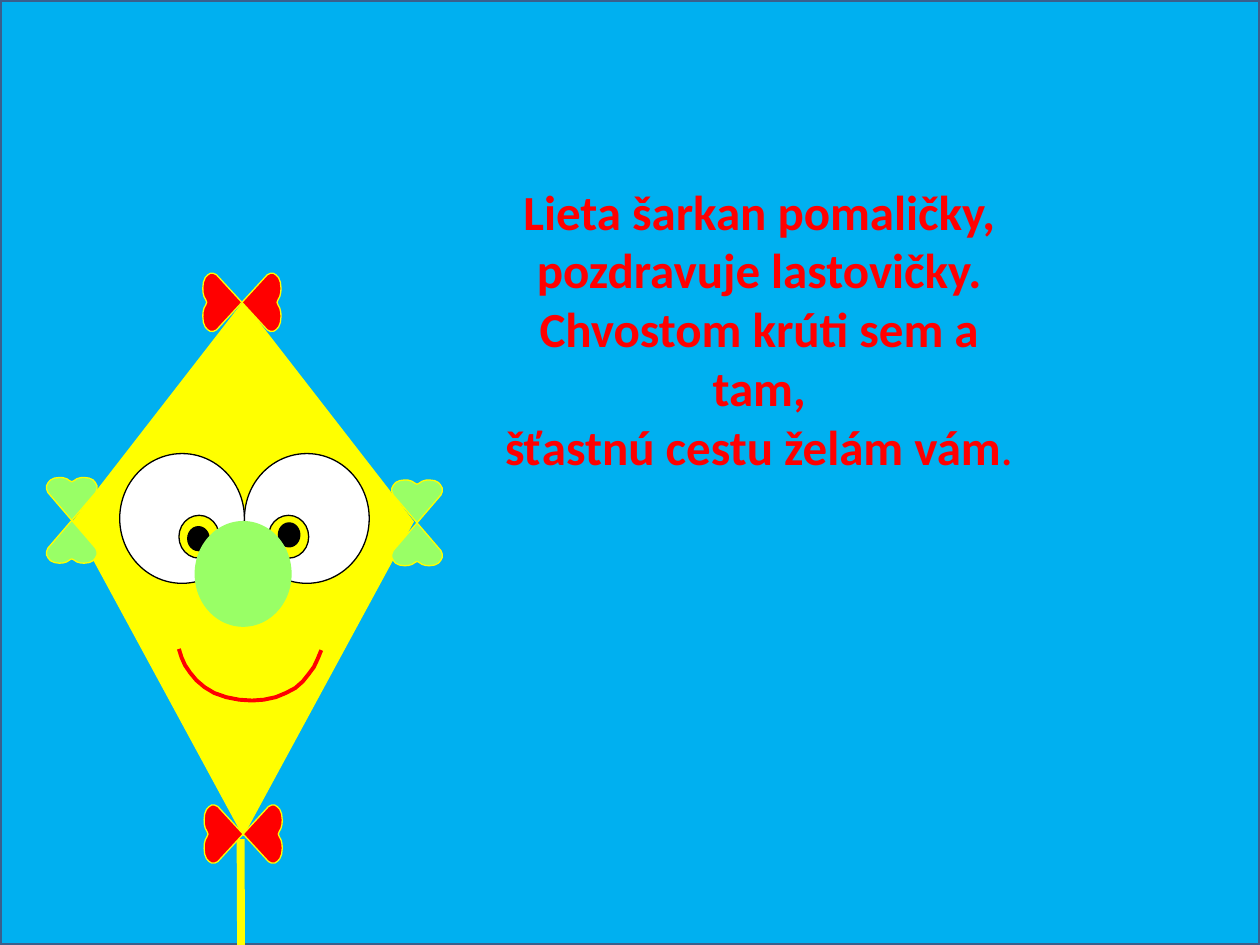
from pptx import Presentation
from pptx.dml.color import RGBColor
from pptx.enum.shapes import MSO_SHAPE
from pptx.enum.text import MSO_ANCHOR, PP_ALIGN
from pptx.util import Inches, Pt

RECTANGLE = MSO_SHAPE.RECTANGLE
ROUNDED = MSO_SHAPE.ROUNDED_RECTANGLE
TRIANGLE = MSO_SHAPE.ISOSCELES_TRIANGLE
OVAL = MSO_SHAPE.OVAL
SKY = RGBColor(0x00, 0xB0, 0xF0)
SKY_EDGE = RGBColor(0x3A, 0x5F, 0x8C)
RED = RGBColor(0xFF, 0x00, 0x00)
YELLOW = RGBColor(0xFF, 0xFF, 0x00)
GREEN = RGBColor(0x99, 0xFF, 0x66)
WHITE = RGBColor(0xFF, 0xFF, 0xFF)
BLACK = RGBColor(0x00, 0x00, 0x00)

presentation = Presentation()
presentation.slide_width = Inches(10)
presentation.slide_height = Inches(7.5)
slide = presentation.slides.add_slide(presentation.slide_layouts[6])


def trace_curve(start, segments, steps):
    """Return points along a chain of cubic Bézier segments."""
    points = [start]
    for first, second, end in segments:
        begin = points[-1]
        for step in range(1, steps + 1):
            t = step / steps
            weights = ((1 - t) ** 3, 3 * t * (1 - t) ** 2, 3 * t * t * (1 - t), t ** 3)
            corners = (begin, first, second, end)
            points.append(tuple(sum(w * c[axis] for w, c in zip(weights, corners))
                                for axis in (0, 1)))
    return points


def add_part(geometry, fill, line, width, box=None, points=None, closed=False):
    """Add a preset shape in a box, or an outline through points, in inches."""
    if points:
        places = [(Inches(x), Inches(y)) for x, y in points]
        builder = slide.shapes.build_freeform(*places[0], scale=1.0)
        builder.add_line_segments(places[1:], close=closed)
        shape = builder.convert_to_shape()
    else:
        shape = slide.shapes.add_shape(geometry, *(Inches(value) for value in box))
    shape.shadow.inherit = False
    if fill is None:
        shape.fill.background()
    else:
        shape.fill.solid()
        shape.fill.fore_color.rgb = fill
    if line is None:
        shape.line.fill.background()
    else:
        shape.line.color.rgb = line
        shape.line.width = Pt(width)
    return shape


# Sky
add_part(RECTANGLE, SKY, SKY_EDGE, 2, (0, 0, 10, 7.5))

# Poem
poem = add_part(ROUNDED, SKY, None, 0, (3.74, 1.07, 4.57, 3.07))
frame = poem.text_frame
frame.word_wrap = True
frame.vertical_anchor = MSO_ANCHOR.MIDDLE
paragraph = frame.paragraphs[0]
paragraph.alignment = PP_ALIGN.CENTER
paragraph.text = "\v".join([
    "Lieta šarkan pomaličky,",
    "pozdravuje lastovičky.",
    "Chvostom krúti sem a tam,",
    "šťastnú cestu želám vám",
])
paragraph.add_run().text = "."
for run in paragraph.runs:
    run.font.name = "Calibri"
    run.font.size = Pt(28)
    run.font.bold = run.text != "."
    run.font.color.rgb = RED

# Kite tail
tail = trace_curve((1.91, 6.66), [
    ((1.92, 7.59), (1.94, 8.52), (1.71, 9.11)),
    ((1.49, 9.69), (0.93, 10.16), (0.56, 10.16)),
    ((0.19, 10.16), (-0.17, 8.89), (-0.49, 9.11)),
    ((-0.82, 9.32), (-1.25, 11.05), (-1.39, 11.44)),
    ((-1.54, 11.83), (-1.44, 11.64), (-1.34, 11.44)),
], steps=3)
add_part(None, None, YELLOW, 4.5, points=tail)

# Kite body
add_part(TRIANGLE, YELLOW, YELLOW, 0.75, (0.58, 2.4, 2.7, 1.74))
lower_body = add_part(TRIANGLE, YELLOW, YELLOW, 0.75, (0.58, 4.14, 2.7, 2.49))
lower_body.rotation = 180

# Eyes and nose
for box, fill, line in [
    ((0.95, 3.6, 0.99, 1.03), WHITE, BLACK),
    ((1.94, 3.6, 0.99, 1.03), WHITE, BLACK),
    ((1.42, 4.09, 0.32, 0.34), YELLOW, BLACK),
    ((2.13, 4.09, 0.32, 0.34), YELLOW, BLACK),
    ((1.49, 4.18, 0.17, 0.19), BLACK, BLACK),
    ((2.21, 4.15, 0.17, 0.19), BLACK, BLACK),
    ((1.55, 4.14, 0.76, 0.83), GREEN, GREEN),
]:
    add_part(OVAL, fill, line, 0.75, box)

# Bows: unit heart as (across, along) from its tip, one half mirrored
half_heart = trace_curve((0, 0.9), [
    ((-0.05, 0.9), (-0.13, 0.95), (-0.2, 0.97)),
    ((-0.3, 1), (-0.4, 1), (-0.5, 1)),
    ((-0.65, 1), (-0.75, 0.98), (-0.85, 0.94)),
    ((-0.92, 0.9), (-0.97, 0.86), (-1, 0.81)),
    ((-1.02, 0.76), (-1, 0.7), (-0.95, 0.65)),
], steps=2)
heart = half_heart + [(0, 0)] + [(-across, along) for across, along in half_heart[:0:-1]]

for tip_x, tip_y, directions, half_width, length, fill in [
    (1.92, 2.4, [(-1, 0), (1, 0)], 0.23, 0.31, RED),
    (1.93, 6.62, [(-1, 0), (1, 0)], 0.23, 0.31, RED),
    (3.31, 4.15, [(0, 1), (0, -1)], 0.2, 0.34, GREEN),
    (0.57, 4.13, [(0, 1), (0, -1)], 0.2, 0.34, GREEN),
]:
    for dx, dy in directions:
        outline = [(tip_x + dx * along * length - dy * across * half_width,
                    tip_y + dy * along * length + dx * across * half_width)
                   for across, along in heart]
        add_part(None, fill, YELLOW, 0.75, points=outline, closed=True)

# Smile
smile = trace_curve((1.42, 5.15), [
    ((1.44, 5.22), (1.46, 5.28), (1.51, 5.34)),
    ((1.55, 5.4), (1.62, 5.46), (1.7, 5.5)),
    ((1.79, 5.54), (1.9, 5.56), (2, 5.56)),
    ((2.09, 5.56), (2.2, 5.54), (2.27, 5.5)),
    ((2.35, 5.47), (2.41, 5.41), (2.45, 5.35)),
    ((2.5, 5.3), (2.52, 5.23), (2.55, 5.16)),
], steps=3)
add_part(None, None, RED, 2.25, points=smile)

presentation.save("out.pptx")
